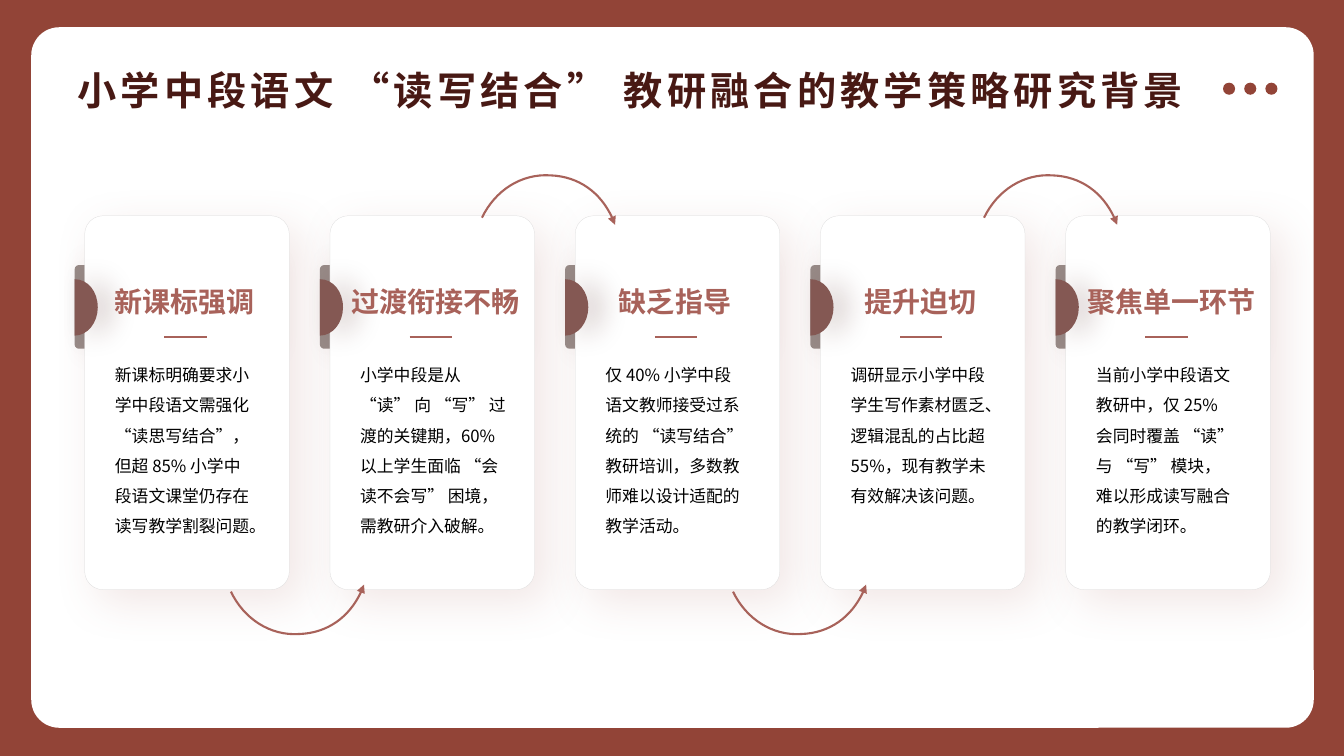
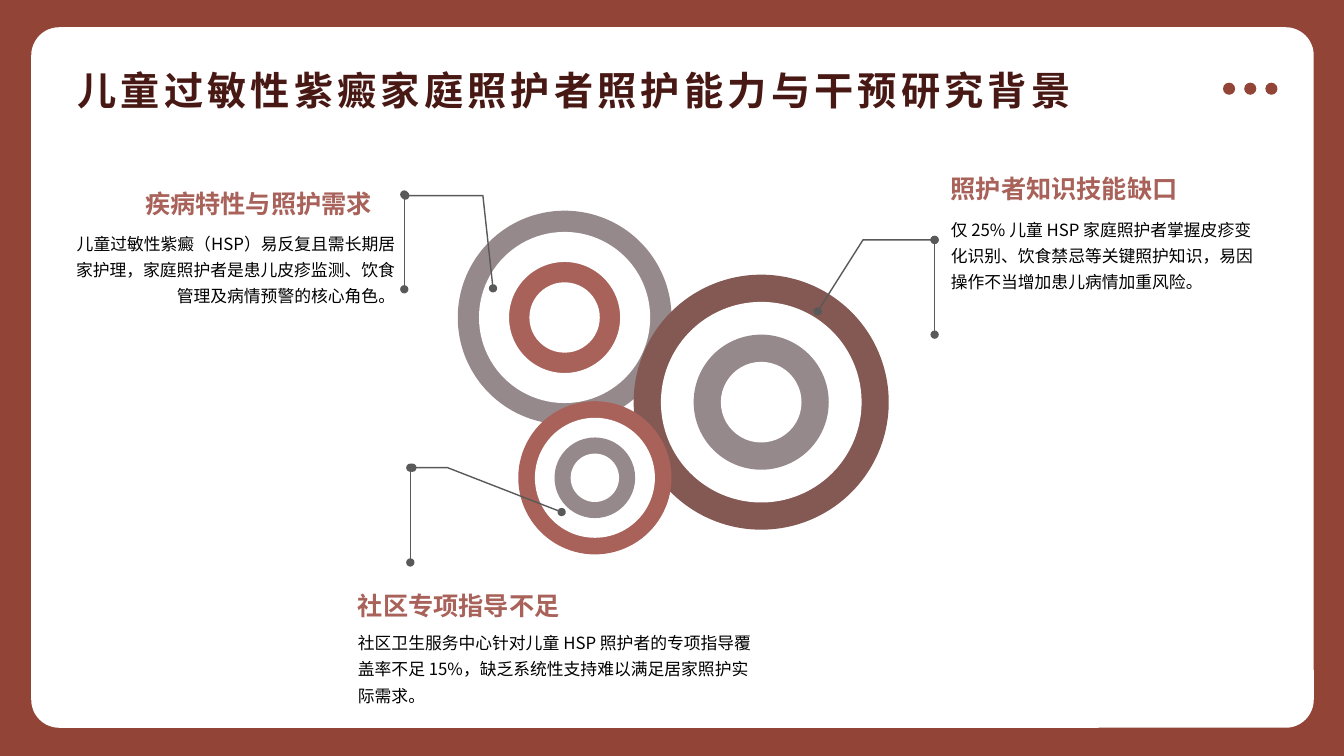
"""Build two research background slides: a five-card flow and a three-gear diagram."""
from copy import deepcopy

from lxml.etree import SubElement
from pptx import Presentation
from pptx.dml.color import RGBColor
from pptx.enum.shapes import MSO_CONNECTOR, MSO_SHAPE
from pptx.enum.text import MSO_ANCHOR, MSO_AUTO_SIZE, PP_ALIGN
from pptx.oxml.ns import qn
from pptx.util import Pt

PX = 9144
FONT = "Noto Sans CJK SC"
COLORS = {
    "frame": "924437", "panel": "FFFFFF", "title": "481914", "accent": "A8625A",
    "body": "000000", "dark": "845853", "tab": "978B88", "gray": "96898C",
    "edge": "D9D9D9", "leader": "595959",
}
NO_MARGINS = {"margin_left": 0, "margin_right": 0, "margin_top": 0, "margin_bottom": 0}
GROWING = {"auto_size": MSO_AUTO_SIZE.SHAPE_TO_FIT_TEXT}
MIDDLE = {"vertical_anchor": MSO_ANCHOR.MIDDLE}
FORMATS = {
    "title": {"color": "title", "spacing": 300, "frame": MIDDLE,
              "font": {"size": Pt(28), "bold": True}, "paragraph": {}},
    "card heading": {"color": "accent", "frame": {**NO_MARGINS, **MIDDLE},
                     "font": {"size": Pt(20), "bold": True},
                     "paragraph": {"alignment": PP_ALIGN.CENTER}},
    "card body": {"color": "body", "frame": {**NO_MARGINS, **GROWING},
                  "font": {"size": Pt(12)}, "paragraph": {"line_spacing": 1.5}},
    "gear heading": {"color": "accent",
                     "frame": {**NO_MARGINS, **GROWING, "word_wrap": False},
                     "font": {"size": Pt(18), "bold": True}, "paragraph": {}},
    "gear body": {"color": "body", "frame": {**NO_MARGINS, **GROWING},
                  "font": {"size": Pt(12)}, "paragraph": {"line_spacing": 1.3}},
}
CARD_SHADOW = {"color": "accent", "alpha": 15, "blur": 31.7, "distance": 12.6, "angle": 45}
TAB_SHADOW = {"color": "dark", "alpha": 20, "blur": 20, "distance": 10, "angle": 0}
DISC_SHADOW = {**TAB_SHADOW, "color": "title"}

FIRST_CARD, LAST_CARD = 84, 1057
ARROW_LEFT, ARROW_STEP = 294, 249
HALF_DISC = [(0, -28), (13, -28), (23, -16), (23, 0), (23, 15), (13, 28), (0, 28)]
ARROW_ARC = [(67, 30), (57, 59), (31, 78), (3, 79), (-26, 81), (-52, 64), (-65, 37), (0, 0)]
CARDS = [
    ("新课标强调", 138, 182, "新课标明确要求小学中段语文需强化 “读思写结合”，但超 85% 小学中段语文课堂仍存在读写教学割裂问题。"),
    ("过渡衔接不畅", 145, 182, "小学中段是从 “读” 向 “写” 过渡的关键期，60% 以上学生面临 “会读不会写” 困境，需教研介入破解。"),
    ("缺乏指导", 138, 182, "仅 40% 小学中段语文教师接受过系统的 “读写结合” 教研培训，多数教师难以设计适配的教学活动。"),
    ("提升迫切", 138, 151, "调研显示小学中段学生写作素材匮乏、逻辑混乱的占比超 55%，现有教学未有效解决该问题。"),
    ("聚焦单一环节", 138, 182, "当前小学中段语文教研中，仅 25% 会同时覆盖 “读” 与 “写” 模块，难以形成读写融合的教学闭环。"),
]
GEARS = [
    (560, 315, (212, 167, 113, 67), ("gray", "panel", "accent", "panel"), 2),
    (755, 399, (253, 199, 134, 80), ("dark", "panel", "gray", "panel"), 0),
    (590, 474, (152, 119, 80, 48), ("accent", "panel", "gray", "panel"), 0),
]
LEADERS = [
    ([(811, 309), (856, 238), (927, 238)], (927, 238)),
    ([(557, 508), (444, 464), (409, 464)], (407, 464)),
    ([(489, 286), (479, 194), (402, 194)], (401, 193)),
]
GEAR_NOTES = [
    ((144, 187, 226, 30), "疾病特性与照护需求", (73, 226, 319, 79), PP_ALIGN.RIGHT,
     "儿童过敏性紫癜（HSP）易反复且需长期居家护理，家庭照护者是患儿皮疹监测、饮食管理及病情预警的核心角色。"),
    ((943, 172, 225, 30), "照护者知识技能缺口", (943, 212, 312, 79), PP_ALIGN.LEFT,
     "仅 25% 儿童 HSP 家庭照护者掌握皮疹变化识别、饮食禁忌等关键照护知识，易因操作不当增加患儿病情加重风险。"),
    ((355, 586, 200, 30), "社区专项指导不足", (355, 622, 403, 79), PP_ALIGN.LEFT,
     "社区卫生服务中心针对儿童 HSP 照护者的专项指导覆盖率不足 15%，缺乏系统性支持难以满足居家照护实际需求。"),
]


def emu(*lengths):
    """Turn px lengths into EMU."""
    return [round(length * PX) for length in lengths]


def rgb(name):
    """Return the named colour."""
    return RGBColor.from_string(COLORS[name])


def set_attributes(target, values):
    """Set every attribute in the dict on the target."""
    for name, value in values.items():
        setattr(target, name, value)


def style_line(shape, color, width, heads=None):
    """Colour a line and give it any head and tail ends."""
    shape.line.color.rgb = rgb(color)
    shape.line.width = Pt(width)
    line = shape.element.spPr.find(qn("a:ln"))
    for end, kind in (heads or {}).items():
        SubElement(line, qn(f"a:{end}"), type=kind)


def style_shape(shape, fill=None, line=None, width=1, shadow=None):
    """Apply fill, outline and shadow to a shape."""
    shape.shadow.inherit = False
    if fill:
        shape.fill.solid()
        shape.fill.fore_color.rgb = rgb(fill)
    else:
        shape.fill.background()
    if line:
        style_line(shape, line, width)
    else:
        shape.line.fill.background()
    if shadow:
        effects = shape.element.spPr.find(qn("a:effectLst"))
        outer = SubElement(effects, qn("a:outerShdw"), blurRad=str(Pt(shadow["blur"])),
                           dist=str(Pt(shadow["distance"])), dir=str(shadow["angle"] * 60000),
                           algn="ctr", rotWithShape="0")
        color = SubElement(outer, qn("a:srgbClr"), val=COLORS[shadow["color"]])
        SubElement(color, qn("a:alpha"), val=str(shadow["alpha"] * 1000))


def add_preset(parent, kind, box, adjustment=None, **style):
    """Add a styled preset shape."""
    shape = parent.shapes.add_shape(kind, *emu(*box))
    if adjustment is not None:
        shape.adjustments[0] = adjustment
    style_shape(shape, **style)


def add_outline(parent, points, close=False, **style):
    """Add a styled freeform through the points."""
    first, *others = [emu(*point) for point in points]
    builder = parent.shapes.build_freeform(*first, scale=1.0)
    builder.add_line_segments(others, close=close)
    shape = builder.convert_to_shape()
    style_shape(shape, **style)
    return shape


def curve_outline(shape):
    """Turn each three straight segments into one cubic curve and return the outline."""
    outline = next(shape.element.iter(qn("a:path")))
    segments = outline.findall(qn("a:lnTo"))
    for first, second, third in zip(segments[::3], segments[1::3], segments[2::3]):
        first.tag = qn("a:cubicBezTo")
        for segment in (second, third):
            first.append(segment[0])
            outline.remove(segment)
    return outline


def add_line(parent, start, end, color, width, heads=None):
    """Add a straight connector."""
    connector = parent.shapes.add_connector(MSO_CONNECTOR.STRAIGHT, *emu(*start, *end))
    style_line(connector, color, width, heads)
    SubElement(connector.element.spPr, qn("a:effectLst"))


def add_text(slide, box, text, format_name, **paragraph_values):
    """Add a text box in one of the named formats."""
    values = FORMATS[format_name]
    frame = slide.shapes.add_textbox(*emu(*box)).text_frame
    set_attributes(frame, {"word_wrap": True, **values["frame"]})
    paragraph = frame.paragraphs[0]
    set_attributes(paragraph, {**values["paragraph"], **paragraph_values})
    run = paragraph.add_run()
    run.text = text
    set_attributes(run.font, {"name": FONT, **values["font"]})
    run.font.color.rgb = rgb(values["color"])
    properties = run.font._element
    properties.set("lang", "zh-CN")
    SubElement(properties, qn("a:ea"), typeface=FONT)
    if "spacing" in values:
        properties.set("spc", str(values["spacing"]))


def add_slide(presentation, title):
    """Add a blank slide with a title."""
    slide = presentation.slides.add_slide(presentation.slide_layouts[6])
    add_text(slide, (67, 51, 1200, 77), title, "title")
    return slide


def decorate_layout(slide):
    """Draw the frame and dots once and move them to the shared layout."""
    layout = slide.slide_layout
    layout.background.fill.solid()
    layout.background.fill.fore_color.rgb = rgb("frame")
    title_count = len(slide.shapes)
    add_preset(slide, MSO_SHAPE.ROUNDED_RECTANGLE, (31, 27, 1272, 695), 0.04, fill="panel")
    for index in range(3):
        add_preset(slide, MSO_SHAPE.OVAL, (1213 + 21 * index, 82, 12, 12), fill="frame")
    for shape in list(slide.shapes)[title_count:]:
        layout.shapes.element.append(shape.element)


def add_card(slide, left, heading, body_width, body_height, body):
    """Add one card with its side tab, heading, rule and body."""
    add_preset(slide, MSO_SHAPE.ROUNDED_RECTANGLE, (left - 10, 263, 182, 83), 0.05,
               fill="tab", shadow=TAB_SHADOW)
    add_preset(slide, MSO_SHAPE.ROUNDED_RECTANGLE, (left, 214, 203, 371), 0.09,
               fill="panel", line="edge", width=0.18, shadow=CARD_SHADOW)
    points = [(left - 10 + x, 305 + y) for x, y in HALF_DISC]
    curve_outline(add_outline(slide, points, close=True, fill="dark", shadow=DISC_SHADOW))
    inset, heading_width = (7, 196) if len(heading) > 5 else (25, 148)
    add_text(slide, (left + inset, 273, heading_width, 51), heading, "card heading")
    add_text(slide, (left + 30, 352, body_width, body_height), body, "card body")
    add_line(slide, (left + 79, 334), (left + 121, 334), "accent", 1.5)


def add_flow_arrow(slide, index):
    """Add a curved arrow below or above the gap between two cards."""
    center_x = ARROW_LEFT + ARROW_STEP * index
    center_y, direction = (253, -1) if index % 2 else (550, 1)
    points = [(center_x + x, center_y + direction * y) for x, y in ARROW_ARC]
    arrow = add_outline(slide, points, close=True)
    style_line(arrow, "accent", 1.5, {"headEnd": "triangle"})
    sector = curve_outline(arrow)
    arc = deepcopy(sector)
    for part in (arc.find(qn("a:lnTo")), arc.find(qn("a:close"))):
        arc.remove(part)
    sector.set("stroke", "0")
    arc.set("fill", "none")
    sector.addnext(arc)


def add_gear(parent, center_x, center_y, diameters, fills, outline):
    """Add concentric discs, the inner ones outlined when asked."""
    for index, (size, fill) in enumerate(zip(diameters, fills)):
        line = "panel" if outline and index else None
        box = (center_x - size / 2, center_y - size / 2, size, size)
        add_preset(parent, MSO_SHAPE.OVAL, box, fill=fill, line=line, width=outline)


def add_leader(parent, points, stem):
    """Add a bent leader and its vertical stem, with dots at the ends."""
    dots = {"headEnd": "oval", "tailEnd": "oval"}
    style_line(add_outline(parent, points), "leader", 1, dots)
    add_line(parent, stem, (stem[0], stem[1] + 94), "leader", 1, dots)


def build_card_slide(presentation):
    """Build the slide of five linked cards."""
    slide = add_slide(presentation, "小学中段语文 “读写结合” 教研融合的教学策略研究背景")
    decorate_layout(slide)
    step = (LAST_CARD - FIRST_CARD) / (len(CARDS) - 1)
    for index, card in enumerate(CARDS):
        add_card(slide, FIRST_CARD + step * index, *card)
    for index in (0, 2, 1, 3):
        add_flow_arrow(slide, index)


def build_gear_slide(presentation):
    """Build the slide of three gears with notes."""
    slide = add_slide(presentation, "儿童过敏性紫癜家庭照护者照护能力与干预研究背景")
    for add_part, parts in ((add_gear, GEARS), (add_leader, LEADERS)):
        for part in parts:
            add_part(slide.shapes.add_group_shape(), *part)
    for heading_box, heading, body_box, alignment, body in GEAR_NOTES:
        add_text(slide, heading_box, heading, "gear heading")
        add_text(slide, body_box, body, "gear body", alignment=alignment)


def main():
    """Build and save the presentation."""
    presentation = Presentation()
    presentation.slide_width, presentation.slide_height = emu(1333, 750)
    build_card_slide(presentation)
    build_gear_slide(presentation)
    presentation.save("out.pptx")


if __name__ == "__main__":
    main()
